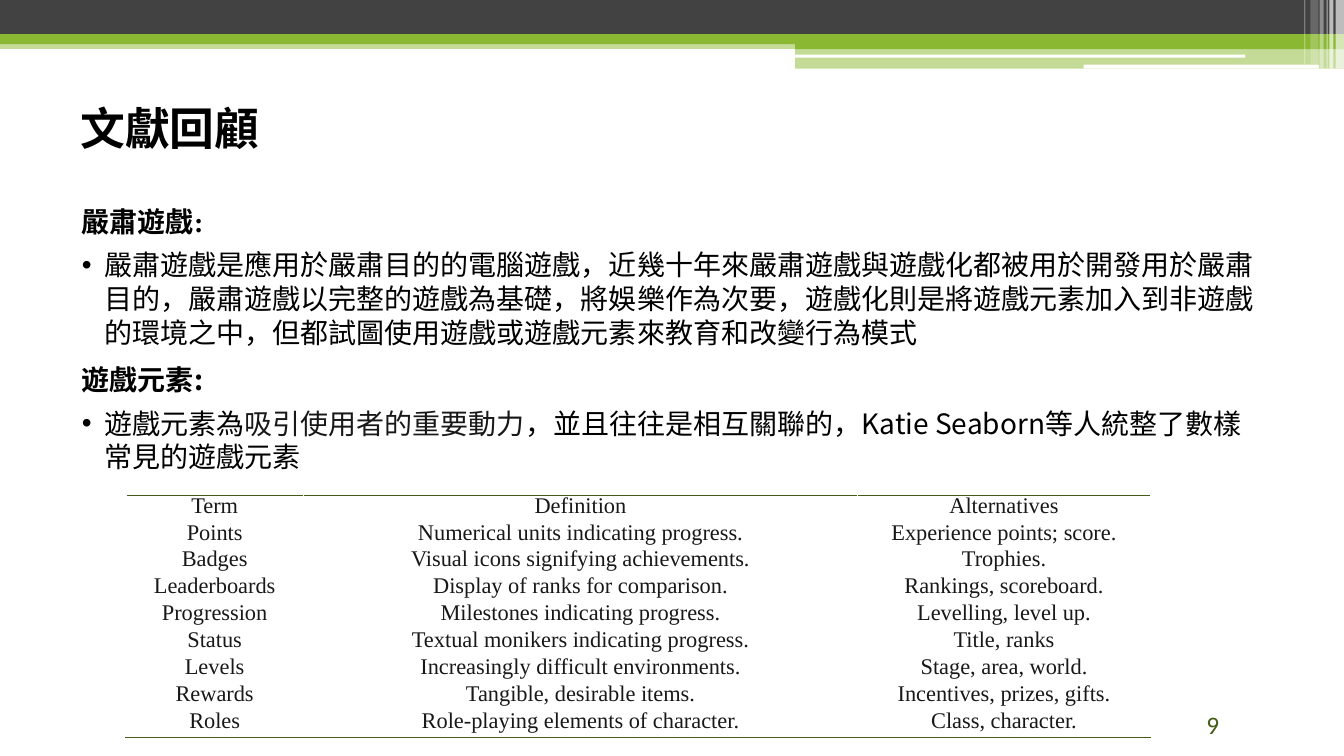
"""Build the literature review slide on serious games and game elements."""
from lxml.etree import SubElement
from pptx import Presentation
from pptx.dml.color import RGBColor
from pptx.enum.shapes import MSO_SHAPE
from pptx.enum.text import MSO_ANCHOR, MSO_AUTO_SIZE, PP_ALIGN
from pptx.oxml import parse_xml
from pptx.oxml.ns import nsdecls, qn
from pptx.util import Pt

CJK = "Noto Sans CJK SC"
BLACK, INK, LIME, OLIVE, WHITE = "000000", "181818", "8AB833", "455C19", "FFFFFF"


def rgb(value):
    return RGBColor.from_string(value)


def add_run(p, text, size, font, color, bold=False):
    r = p.add_run()
    r.text = text
    r.font.size, r.font.bold, r.font.name = Pt(size), bold, font
    r.font.color.rgb = rgb(color)
    SubElement(r.font._element, qn("a:ea")).set("typeface", CJK)


prs = Presentation()
prs.slide_width, prs.slide_height = Pt(960), Pt(540)
s = prs.slides.add_slide(prs.slide_layouts[1])

RECT, ROUND = MSO_SHAPE.RECTANGLE, MSO_SHAPE.ROUNDED_RECTANGLE
bars = [
    (RECT, 0, 28.8, 960, 6.2, LIME, 50),
    (RECT, 0, 0, 960, 24.4, "424242", 100),
    (RECT, 0, 24.4, 960, 7.2, LIME, 100),
    (RECT, 568, 28, 392, 7.2, LIME, 100),
    (RECT, 568, 34.8, 392, 14.2, LIME, 50),
    (ROUND, 567.5, 39, 322, 2.2, WHITE, 100),
    (ROUND, 774, 46.2, 168, 2.8, WHITE, 100),
    (RECT, 954, 0, 6, 49, WHITE, 65),
    (RECT, 949.6, 0, 2.8, 49, WHITE, 65),
    (RECT, 947.6, 0, 0.8, 49, WHITE, 60),
    (RECT, 942.6, 0, 2.8, 49, WHITE, 40),
    (RECT, 936, 0, 5.8, 46, WHITE, 20),
    (RECT, 931.6, 0, 0.8, 46, WHITE, 30),
]
for kind, x, y, w, h, color, alpha in bars:
    sp = s.shapes.add_shape(kind, Pt(x), Pt(y), Pt(w), Pt(h))
    sp.shadow.inherit = False
    sp.line.fill.background()
    sp.fill.solid()
    sp.fill.fore_color.rgb = rgb(color)
    if alpha < 100:
        clr = sp._element.spPr.find(qn("a:solidFill")).find(qn("a:srgbClr"))
        SubElement(clr, qn("a:alpha")).set("val", str(alpha * 1000))

title, body = s.shapes.title, s.placeholders[1]
for sp, x, y, w, h in [(title, 0, 49, 912, 84), (body, 49, 141, 864, 379)]:
    sp.left, sp.top, sp.width, sp.height = Pt(x), Pt(y), Pt(w), Pt(h)
    tf = sp.text_frame
    tf.word_wrap, tf.auto_size = True, MSO_AUTO_SIZE.NONE
    tf.margin_left = tf.margin_right = Pt(9.4)
    tf.margin_top = tf.margin_bottom = Pt(5)

title.text_frame.vertical_anchor = MSO_ANCHOR.MIDDLE
p = title.text_frame.paragraphs[0]
p.alignment = PP_ALIGN.LEFT
p._p.get_or_add_pPr().set("indent", str(Pt(48)))
add_run(p, "文獻回顧", 32, "Arial", BLACK, True)

paragraphs = [
    (False, 0, 2, [("嚴肅遊戲", CJK, BLACK), (":", "Times New Roman", BLACK)]),
    (True, 5, 5, [("嚴肅遊戲是應用於嚴肅目的的電腦遊戲，近幾十年來嚴肅遊戲與遊戲化都被用於開發用於嚴肅"
                   "目的，嚴肅遊戲以完整的遊戲為基礎，將娛樂作為次要，遊戲化則是將遊戲元素加入到非遊戲"
                   "的環境之中，但都試圖使用遊戲或遊戲元素來教育和改變行為模式", "Arial", BLACK)]),
    (False, 5, 5, [("遊戲元素:", CJK, BLACK)]),
    (True, 2, 2, [("遊戲元素為", CJK, BLACK), ("吸引使用者的重要動力", CJK, INK),
                  ("，並且往往是相互關聯的，Katie Seaborn等人統整了數樣常見的遊戲元素", CJK, BLACK)]),
]
tf = body.text_frame
for i, (bullet, before, after, runs) in enumerate(paragraphs):
    p = tf.paragraphs[0] if i == 0 else tf.add_paragraph()
    p.line_spacing, p.space_before, p.space_after = Pt(24), Pt(before), Pt(after)
    pPr = p._p.get_or_add_pPr()
    indent = Pt(16) if bullet else 0
    pPr.set("marL", str(indent))
    pPr.set("indent", str(-indent))
    if bullet:
        SubElement(SubElement(pPr, qn("a:buClr")), qn("a:srgbClr")).set("val", BLACK)
        SubElement(pPr, qn("a:buFont")).set("typeface", "Arial")
        SubElement(pPr, qn("a:buChar")).set("char", "•")
    else:
        SubElement(pPr, qn("a:buNone"))
    for text, font, color in runs:
        add_run(p, text, 20, font, color, not bullet)

sp = s.shapes.add_textbox(Pt(854.6), Pt(503.3), Pt(93), Pt(28.8))
tf = sp.text_frame
tf.word_wrap, tf.vertical_anchor = True, MSO_ANCHOR.BOTTOM
add_run(tf.paragraphs[0], "9", 18, "Calibri", OLIVE)

rows = [
    ("Term", "Definition", "Alternatives"),
    ("Points", "Numerical units indicating progress.", "Experience points; score."),
    ("Badges", "Visual icons signifying achievements.", "Trophies."),
    ("Leaderboards", "Display of ranks for comparison.", "Rankings, scoreboard."),
    ("Progression", "Milestones indicating progress.", "Levelling, level up."),
    ("Status", "Textual monikers indicating progress.", "Title, ranks"),
    ("Levels", "Increasingly difficult environments.", "Stage, area, world."),
    ("Rewards", "Tangible, desirable items.", "Incentives, prizes, gifts."),
    ("Roles", "Role-playing elements of character.", "Class, character."),
]
widths = [126.7, 396, 209]
row_height = 19.2
frame = s.shapes.add_table(len(rows), len(widths), Pt(90), Pt(354),
                           Pt(sum(widths)), Pt(row_height * len(rows)))
table = frame.table
table.first_row = table.horz_banding = False
for column, width in zip(table.columns, widths):
    column.width = Pt(width)
edges = {0: "lnT", len(rows) - 1: "lnB"}
for i, terms in enumerate(rows):
    table.rows[i].height = Pt(row_height)
    for j, text in enumerate(terms):
        cell = table.cell(i, j)
        cell.fill.background()
        cell.vertical_anchor = MSO_ANCHOR.MIDDLE
        cell.margin_left = cell.margin_right = Pt(0.7 if j == 2 else 0)
        cell.margin_top = cell.margin_bottom = 0
        p = cell.text_frame.paragraphs[0]
        p.alignment, p.line_spacing = PP_ALIGN.CENTER, Pt(13)
        add_run(p, text, 16, "Times New Roman", INK)
        if i in edges:
            cell._tc.get_or_add_tcPr().insert(0, parse_xml(
                f'<a:{edges[i]} {nsdecls("a")} w="{Pt(1)}"><a:solidFill>'
                f'<a:srgbClr val="{OLIVE}"/></a:solidFill></a:{edges[i]}>'))

prs.save("out.pptx")
